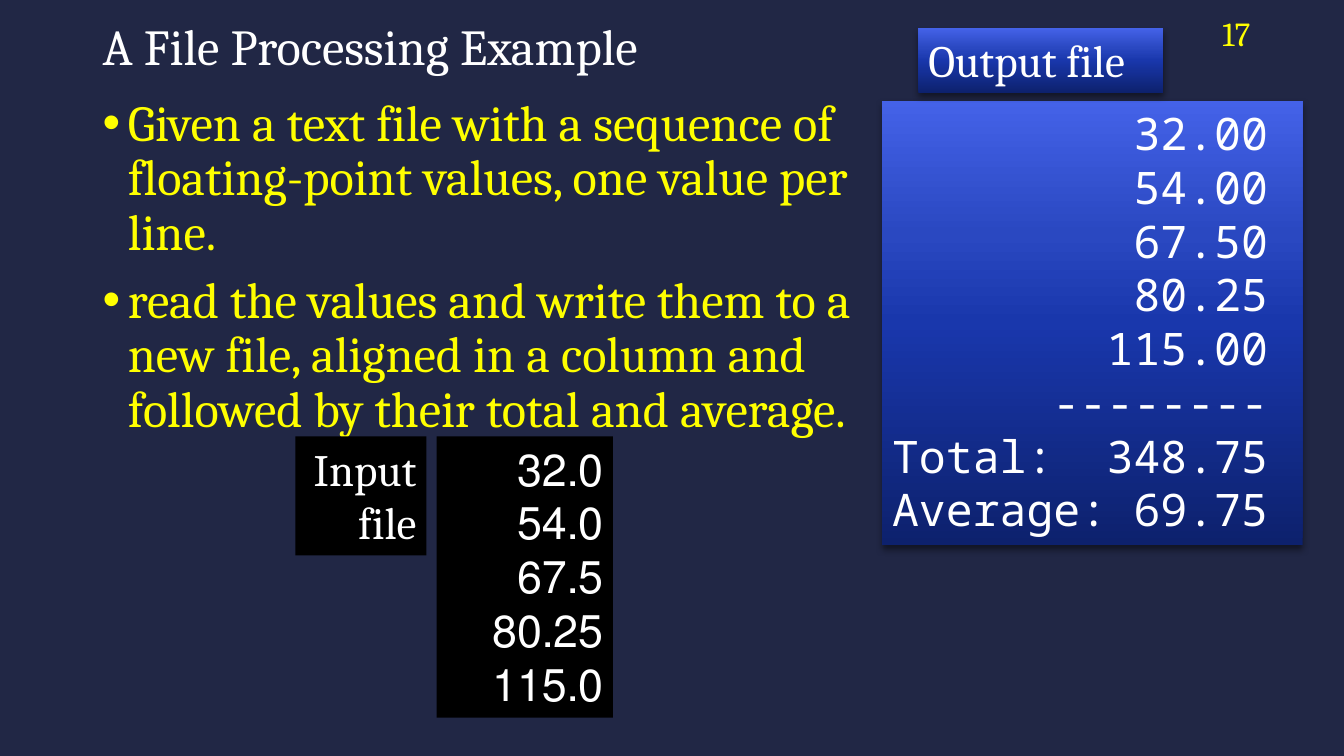
from lxml import etree
from pptx import Presentation
from pptx import util as u
from pptx.dml.color import RGBColor
from pptx.enum import shapes, text
from pptx.oxml import ns

COLORS = {"page": "212745", "white": "FFFFFF", "yellow": "FFFF00", "black": "000000"}
BLUE_STOPS = [(0, "0D216D"), (50, "1937AC"), (70, "2A48C1"), (100, "4462E8")]
SERIF, MONO = "Cambria", "Noto Sans Mono"
TOP, MIDDLE = text.MSO_ANCHOR.TOP, text.MSO_ANCHOR.MIDDLE
LEFT, RIGHT = text.PP_ALIGN.LEFT, text.PP_ALIGN.RIGHT

TASKS = [
    "Given a text file with a sequence of floating-point values, one value per line.",
    "read the values and write them to a new file, aligned in a column and "
    "followed by their total and average.",
]
INPUT_VALUES = ["32.0", "54.0", "67.5", "80.25", "115.0"]
OUTPUT_ROWS = [("", "32.00"), ("", "54.00"), ("", "67.50"), ("", "80.25"),
               ("", "115.00"), ("", "--------"), ("Total:", "348.75"),
               ("Average:", "69.75")]
OUTPUT_LINES = ["\t".join(row) for row in OUTPUT_ROWS]
VALUE_EDGE = 3.73

HEADING = {"size": 36, "color": "white", "anchor": MIDDLE, "spacing": 0.9}
BODY = {"size": 36, "color": "yellow", "spacing": 0.9, "before": 10, "bullet": "•"}
NUMBER = {"size": 24, "color": "yellow", "anchor": MIDDLE, "align": RIGHT}
INPUT = {"fill": "black", "align": RIGHT, "rtl": True}
OUTPUT = {"fill": "blue"}

PARTS = [
    ((0.92, 0.15, 11.59, 0.68), ["A File Processing Example"], HEADING),
    ((0.92, 0.92, 8.13, 6), TASKS, BODY),
    ((11.73, 0.13, 0.77, 0.4), ["17"], NUMBER),
    ((4.33, 4.33, 1.75, 2.79), INPUT_VALUES, {**INPUT, "font": MONO}),
    ((8.75, 1, 4.17, 4.41), OUTPUT_LINES, {**OUTPUT, "font": MONO, "tab": VALUE_EDGE}),
    ((2.93, 4.33, 1.3, 1.18), ["Input file"], INPUT),
    ((9.11, 0.28, 2.43, 0.64), ["Output file"], OUTPUT),
]


def rgb(name):
    return RGBColor.from_string(COLORS[name])


def add_node(parent, tag, **values):
    node = etree.SubElement(parent, ns.qn("a:" + tag))
    for key, value in values.items():
        node.set(key, str(value))
    return node


def paint_blue(box):
    box.fill.background()
    props = box._element.spPr
    gradient = etree.Element(ns.qn("a:gradFill"), rotWithShape="1")
    stops = add_node(gradient, "gsLst")
    for place, color in BLUE_STOPS:
        add_node(add_node(stops, "gs", pos=place * 1000), "srgbClr", val=color)
    add_node(gradient, "lin", ang=270 * 60000, scaled=0)
    props.replace(props.find(ns.qn("a:noFill")), gradient)
    effects = props.find(ns.qn("a:effectLst"))
    shadow = add_node(effects, "outerShdw", blurRad=u.Pt(5), dist=u.Pt(3),
                      dir=90 * 60000, algn="ctr", rotWithShape=0)
    add_node(add_node(shadow, "srgbClr", val=COLORS["black"]), "alpha", val=45000)


def add_box(page, place, style):
    area = [u.Inches(length) for length in place]
    if "fill" not in style:
        return page.shapes.add_textbox(*area)
    box = page.shapes.add_shape(shapes.MSO_SHAPE.RECTANGLE, *area)
    box.line.fill.background()
    box.shadow.inherit = False
    if style["fill"] == "blue":
        paint_blue(box)
    else:
        box.fill.solid()
        box.fill.fore_color.rgb = rgb(style["fill"])
    return box


def add_line(para, line, style):
    layout = {"alignment": style.get("align", LEFT),
              "line_spacing": style.get("spacing"),
              "space_before": u.Pt(style.get("before", 0))}
    for key, value in layout.items():
        setattr(para, key, value)
    props = para._p.get_or_add_pPr()
    if "rtl" in style:
        props.set("rtl", "1")
    if "bullet" in style:
        props.set("marL", str(u.Inches(0.25)))
        props.set("indent", str(-u.Inches(0.25)))
        add_node(props, "buFont", typeface="Arial")
        add_node(props, "buChar", char=style["bullet"])
    if "tab" in style:
        add_node(add_node(props, "tabLst"), "tab", pos=u.Inches(style["tab"]), algn="r")
    span = para.add_run()
    span.text = line
    looks = {"name": style.get("font", SERIF), "size": u.Pt(style.get("size", 32))}
    for key, value in looks.items():
        setattr(span.font, key, value)
    span.font.color.rgb = rgb(style.get("color", "white"))


deck = Presentation()
deck.slide_width, deck.slide_height = u.Inches(13.33), u.Inches(7.5)
page = deck.slides.add_slide(deck.slide_layouts[6])
page.background.fill.solid()
page.background.fill.fore_color.rgb = rgb("page")

for place, lines, style in PARTS:
    frame = add_box(page, place, style).text_frame
    frame.word_wrap = True
    frame.vertical_anchor = style.get("anchor", TOP)
    for index, line in enumerate(lines):
        para = frame.add_paragraph() if index else frame.paragraphs[0]
        add_line(para, line, style)

deck.save("out.pptx")
